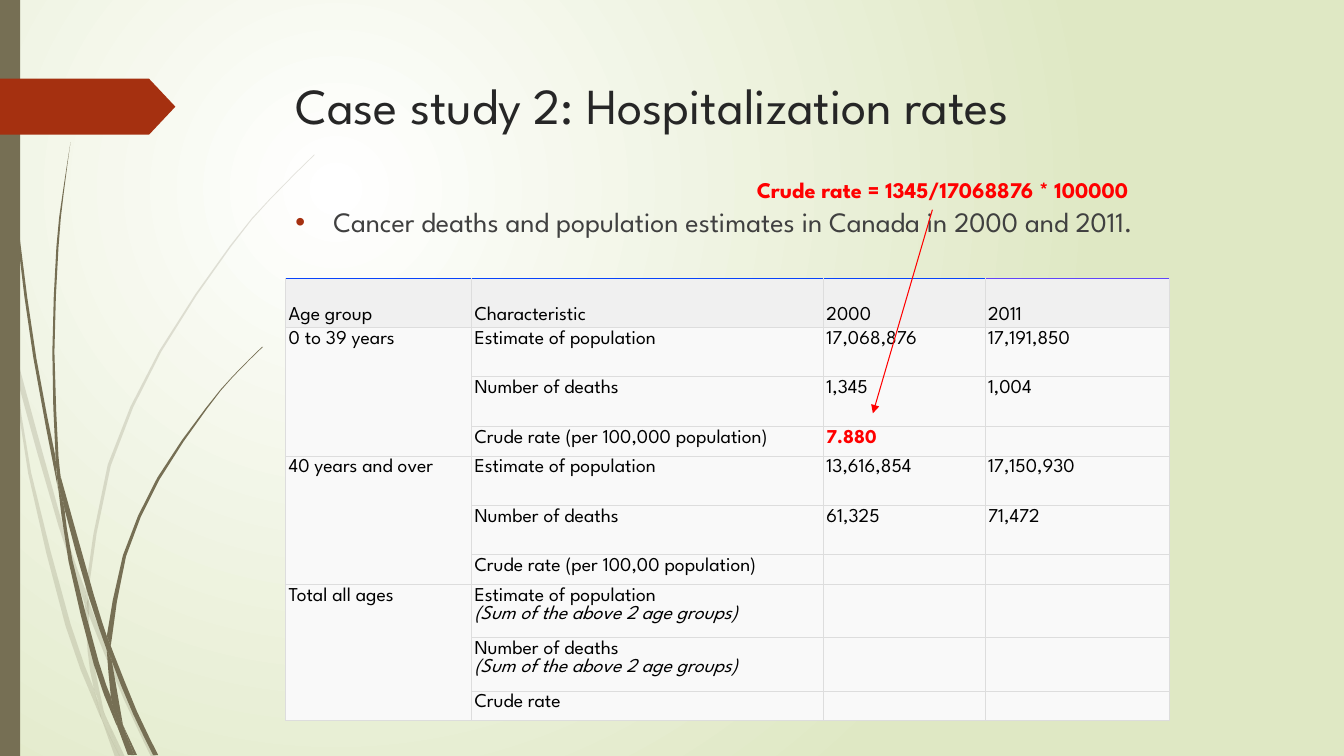
from lxml import etree
from pptx import Presentation
from pptx import util as u
from pptx.dml import color
from pptx.enum import shapes, text
from pptx.oxml import ns

Pt = u.Pt
FONT = "League Spartan"
BARK, RUST, RED, GRID = "766F54", "A53010", "FF0000", "DDDDDD"

# Each blade of grass is a pair of edges, one going down and one coming back.
PALE_BLADES = [
    ([(7.9, 252), (6.5, 231.8), (0, 203)], [(0, 215.3), (7.2, 247.7)]),
    ([(10.1, 248.4), (12.2, 270.7), (41.8, 375.8), (60.5, 431.3)],
     [(61.2, 421.9), (44.6, 374.4), (10.1, 248.4)]),
    ([(63.4, 429.1), (63.4, 439.2), (88.6, 499.7), (108, 540.7)],
     [(111.6, 540.7), (91.4, 498.2), (66.2, 437)]),
    ([(75.6, 511.9), (85.7, 540.7)], [(89.3, 540.7)]),
    ([(7.9, 252), (20.2, 338.4), (46.8, 447.1), (66.2, 499), (72.7, 514.1)],
     [(67, 491.8), (50.4, 445.7), (22.3, 337.7), (12.2, 270.7)]),
    ([(60.5, 431.3), (62.6, 465.1), (67, 491.8), (75.6, 511.9)],
     [(74.2, 508.3), (65.5, 465.1), (63.4, 437.8)]),
    ([(224.6, 110.2), (193, 141.8), (164.2, 175.7), (113.8, 250.6), (77, 331.9), (61.2, 420.5)],
     [(63.4, 429.1), (63.4, 420.5), (79.2, 332.6), (115.2, 251.3), (164.9, 176.4),
      (193, 142.6), (224.6, 110.9)]),
    ([(72.7, 514.1), (82.1, 540.7)], [(85.7, 540.7)]),
    ([(61.2, 421.9), (60.5, 431.3)], [(63.4, 439.2), (63.4, 429.1)]),
    ([(67, 491.8), (71.3, 509), (72.7, 514.1), (85.7, 540.7)], [(75.6, 511.9), (69.1, 498.2)]),
]
DARK_BLADES = [
    ([(2.2, 0), (5, 79.2), (12.2, 167.8), (23.8, 255.6), (40.3, 343.4), (41, 346.3)],
     [(39.6, 326.2), (25.9, 255.6), (13.7, 167), (5.8, 78.5), (2.9, 0)]),
    ([(43.2, 339.8), (46.1, 363.6), (63.4, 426.2), (76.3, 464.4)],
     [(76.3, 454.3), (67, 424.8), (43.2, 339.8)]),
    ([(79.2, 461.5), (79.9, 472.3), (95, 509.8), (109.4, 539.3)],
     [(113, 539.3), (97.9, 508.3), (81.4, 467.3)]),
    ([(41, 343.4), (49, 401), (67, 474.5), (79.9, 509.8), (84.2, 519.8)],
     [(79.2, 497.5), (70.6, 473), (51.8, 400.3), (46.1, 363.6)]),
    ([(50.4, 101.5), (44.6, 139), (40.3, 176.4), (37.4, 251.3), (39.6, 323.3), (43.2, 339.8)],
     [(41.8, 326.2), (38.9, 251.3), (41.8, 176.4), (45.4, 139), (50.4, 101.5)]),
    ([(87.8, 517.7), (95.8, 539.3)], [(97.9, 539.3)]),
    ([(39.6, 323.3), (41, 343.4), (46.1, 363.6)], [(43.2, 339.8)]),
    ([(187.2, 247.7), (166.3, 268.6), (146.9, 291.6), (112.3, 341.3), (87.8, 396.7),
      (76.3, 454.3)],
     [(79.2, 461.5), (79.9, 455.8), (90, 397.4), (113.8, 342.7), (147.6, 292.3),
      (166.3, 269.3), (187.9, 247.7)]),
    ([(84.2, 519.8), (91.4, 539.3)], [(94.3, 539.3)]),
    ([(76.3, 464.4), (79.2, 497.5), (83.5, 508.3), (87.8, 517.7)], [(79.9, 472.3)]),
    ([(76.3, 454.3), (76.3, 464.4)], [(79.9, 472.3), (79.2, 461.5)]),
    ([(79.2, 497.5), (84.2, 519.8), (93.6, 539.3)], [(95.8, 539.3), (87.8, 517.7)]),
]
POPULATION, DEATHS = "Estimate of population", "Number of deaths"
SUM_NOTE = "(Sum of the above 2 age groups)"
ROWS = [
    ("Age group", "Characteristic", "2000", "2011"),
    ("0 to 39 years", POPULATION, "17,068,876", "17,191,850"),
    ("", DEATHS, "1,345", "1,004"),
    ("", "Crude rate (per 100,000 population)", "7.880", ""),
    ("40 years and over", POPULATION, "13,616,854", "17,150,930"),
    ("", DEATHS, "61,325", "71,472"),
    ("", "Crude rate (per 100,00 population)", "", ""),
    ("Total all ages", f"{POPULATION}\n{SUM_NOTE}", "", ""),
    ("", f"{DEATHS}\n{SUM_NOTE}", "", ""),
    ("", "Crude rate", "", ""),
]
COL_WIDTHS = (132.8, 251.4, 115.4, 131.9)
ROW_HEIGHTS = (35.3,) + (35.3, 35.3, 19.8) * 3


def rgb(value):
    """Return the colour for a hex string."""
    return color.RGBColor.from_string(value)


def sub(parent, tag, **attrs):
    """Append a DrawingML element and return it."""
    return etree.SubElement(parent, ns.qn(tag), attrs)


def paint(sp, fill, alpha=100):
    """Give a shape a plain fill without line or shadow."""
    sp.shadow.inherit = False
    sp.fill.solid()
    sp.fill.fore_color.rgb = rgb(fill)
    sp.line.fill.background()
    if alpha < 100:
        sub(sp._element.spPr.find(".//" + ns.qn("a:srgbClr")), "a:alpha", val=str(alpha * 1000))


def add_text(p, content, size, fill, **fmt):
    """Add one formatted run to a paragraph."""
    r = p.add_run()
    r.text = content
    r.font.color.rgb = rgb(fill)
    for name, value in {"name": FONT, "size": Pt(size), **fmt}.items():
        setattr(r.font, name, value)


def add_box(s, *box):
    """Add a wrapping text box and return its text frame."""
    tf = s.shapes.add_textbox(*map(Pt, box)).text_frame
    tf.word_wrap = True
    return tf


def indent(p, left, first=0):
    """Indent a paragraph and return its properties."""
    pPr = p._p.get_or_add_pPr()
    pPr.set("marL", str(Pt(left)))
    pPr.set("indent", str(Pt(first)))
    return pPr


def smooth(points, steps=2):
    """Return a Catmull-Rom curve through the points."""
    padded = [points[0], *points, points[-1]]
    curve = [points[0]]
    for a, b, c, d in zip(padded, padded[1:], padded[2:], padded[3:]):
        for t in (k / steps for k in range(1, steps + 1)):
            curve.append(tuple(
                q + ((v - o) * t + (2 * o - 5 * q + 4 * v - w) * t ** 2
                     + (3 * q - o - 3 * v + w) * t ** 3) / 2
                for o, q, v, w in zip(a, b, c, d)))
    return curve


def add_blade(s, edges, alpha):
    """Draw one blade of grass."""
    outline = [(Pt(x), Pt(y)) for edge in edges for x, y in smooth(edge)]
    fb = s.shapes.build_freeform(*outline[0])
    fb.add_line_segments(outline[1:])
    paint(fb.convert_to_shape(), BARK, alpha)


def set_background(s):
    """Fill the slide with a radial gradient."""
    fill = s.background.fill
    fill.gradient()
    for stop, value in zip(fill.gradient_stops, ("FFFFFF", "DFE8C4")):
        stop.color.rgb = rgb(value)
    grad = s._element.find(".//" + ns.qn("a:gradFill"))
    grad.remove(grad.find(ns.qn("a:lin")))
    sub(sub(grad, "a:path", path="circle"), "a:fillToRect",
        l="50000", t="50000", r="100000", b="100000")


def fill_cell(cell, content, header, top):
    """Write and format one table cell."""
    for side in ("left", "right", "top", "bottom"):
        setattr(cell, f"margin_{side}", Pt(2.2))
    cell.vertical_anchor = text.MSO_ANCHOR.BOTTOM if header else text.MSO_ANCHOR.TOP
    tf = cell.text_frame
    for i, line in enumerate(content.split("\n")):
        p = tf.add_paragraph() if i else tf.paragraphs[0]
        if line:
            result = line == "7.880"
            add_text(p, line, 14, RED if result else "000000", bold=result, italic=line == SUM_NOTE)
        else:
            sub(sub(p._p, "a:endParaRPr", sz="1400"), "a:latin", typeface=FONT)
    for side, value in zip("LRTB", (GRID, GRID, top, GRID)):
        ln = sub(cell._tc.get_or_add_tcPr(), f"a:ln{side}", w=str(Pt(0.6)))
        sub(sub(ln, "a:solidFill"), "a:srgbClr", val=value)
    cell.fill.solid()
    cell.fill.fore_color.rgb = rgb("F0F0F0" if header else "F9F9F9")


def add_rates_table(s, left, top):
    """Add the table of deaths and population by age group."""
    box = map(Pt, (left, top, sum(COL_WIDTHS), sum(ROW_HEIGHTS)))
    table = s.shapes.add_table(len(ROWS), len(COL_WIDTHS), *box).table
    for column, width in zip(table.columns, COL_WIDTHS):
        column.width = Pt(width)
    for i, values in enumerate(ROWS):
        table.rows[i].height = Pt(ROW_HEIGHTS[i])
        for j, value in enumerate(values):
            edge = GRID if i else "6045FA" if j == 3 else "0843FA"
            fill_cell(table.cell(i, j), value, i == 0, edge)
    for i in range(1, len(ROWS), 3):
        table.cell(i, 0).merge(table.cell(i + 2, 0))


def add_arrow(s, *ends):
    """Add a thin red arrow between two points."""
    c = s.shapes.add_connector(shapes.MSO_CONNECTOR.STRAIGHT, *map(Pt, ends))
    c.line.color.rgb = rgb(RED)
    c.line.width = Pt(0.75)
    sub(c.line._get_or_add_ln(), "a:tailEnd", type="triangle")
    sub(c._element.spPr, "a:effectLst")


def add_title(s):
    """Add the title with the red formula below it."""
    tf = add_box(s, 204, 49.6, 702, 101)
    add_text(tf.paragraphs[0], "Case study 2: Hospitalization rates", 36, "262626")
    p = tf.add_paragraph()
    p.space_before = Pt(29.4)
    indent(p, 329.5)
    add_text(p, "Crude rate = 1345/17068876 * 100000", 16, RED, bold=True)


def add_bullet(s, content):
    """Add the bulleted sentence above the table."""
    p = add_box(s, 203.8, 142.7, 702, 28).paragraphs[0]
    pPr = indent(p, 27.2, -27.2)
    sub(sub(pPr, "a:buClr"), "a:srgbClr", val=RUST)
    sub(pPr, "a:buFont", typeface="Arial")
    sub(pPr, "a:buChar", char="•")
    add_text(p, content, 20, "404040")


def main():
    """Build and save the slide."""
    prs = Presentation()
    prs.slide_width, prs.slide_height = Pt(960), Pt(540)
    s = prs.slides.add_slide(prs.slide_layouts[6])
    set_background(s)
    for blades, alpha in ((PALE_BLADES, 20), (DARK_BLADES, 100)):
        for edges in blades:
            add_blade(s, edges, alpha)
    kind = shapes.MSO_SHAPE
    paint(s.shapes.add_shape(kind.RECTANGLE, 0, 0, Pt(14.4), Pt(540)), BARK)
    banner = s.shapes.add_shape(kind.PENTAGON, 0, Pt(56.2), Pt(125.3), Pt(40))
    banner.adjustments[0] = 0.47
    paint(banner, RUST)
    add_title(s)
    add_bullet(s, "Cancer deaths and population estimates in Canada in 2000 and 2011.")
    add_rates_table(s, 204, 198.6)
    add_arrow(s, 666, 149.8, 623.5, 295.2)
    prs.save("out.pptx")


if __name__ == "__main__":
    main()
